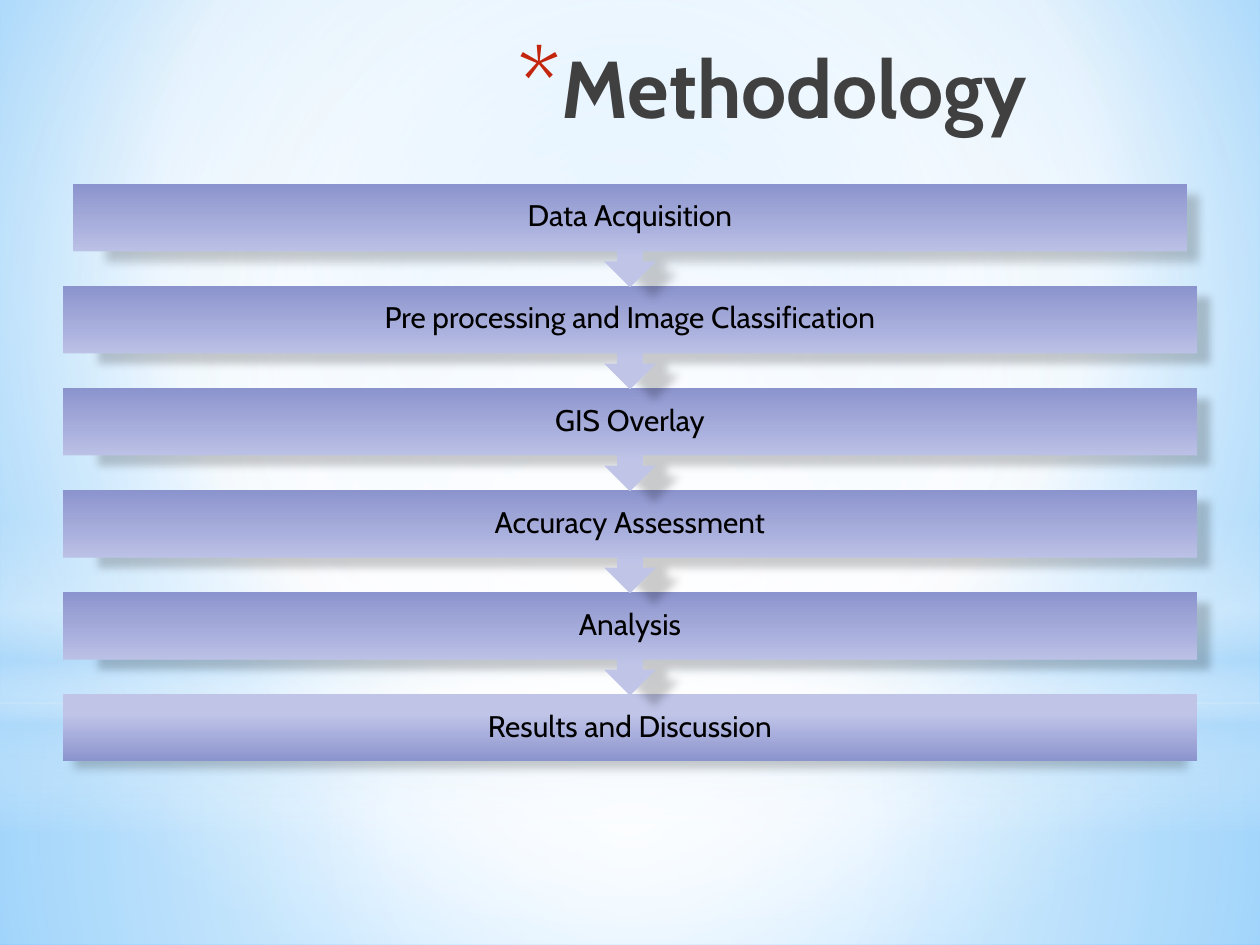
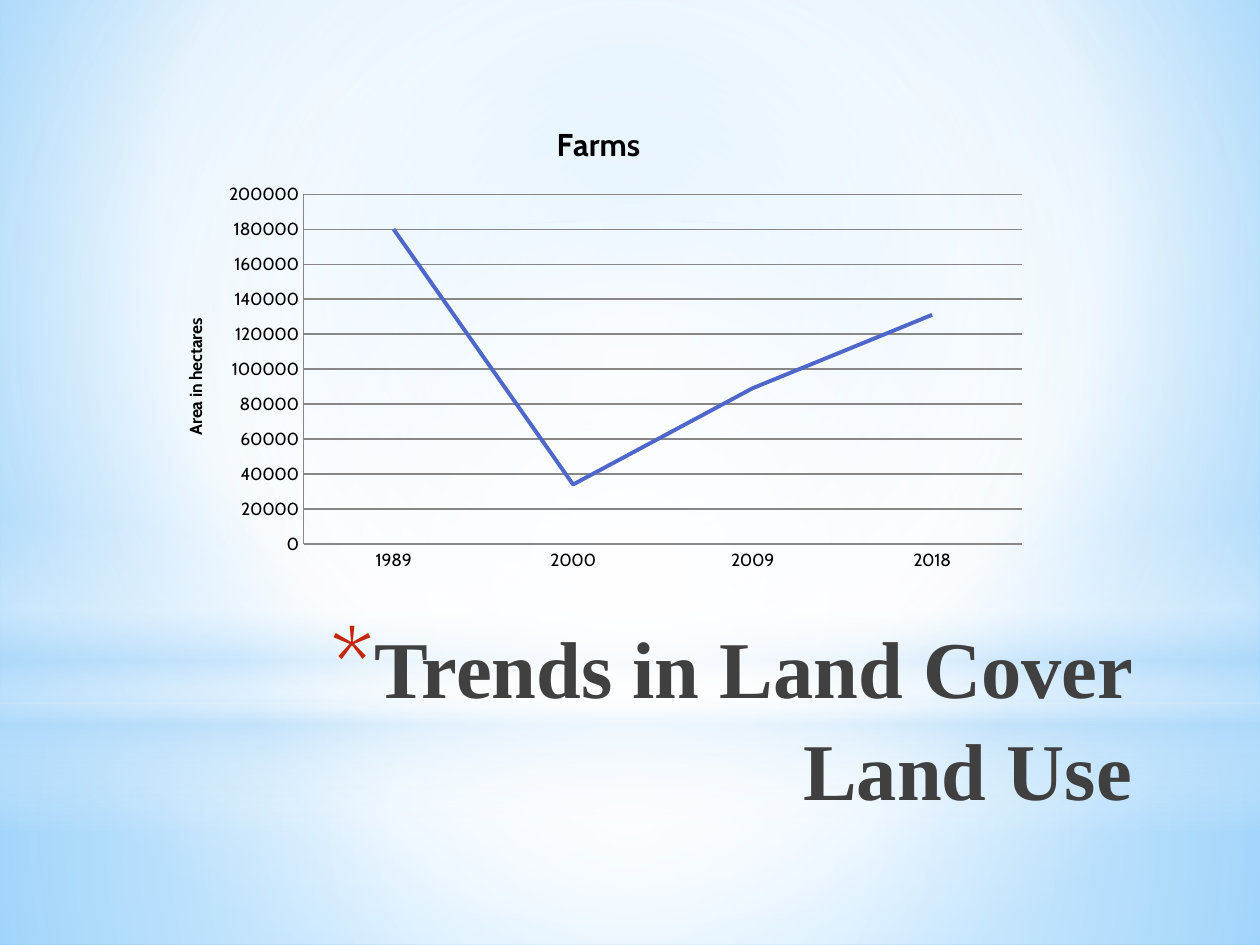
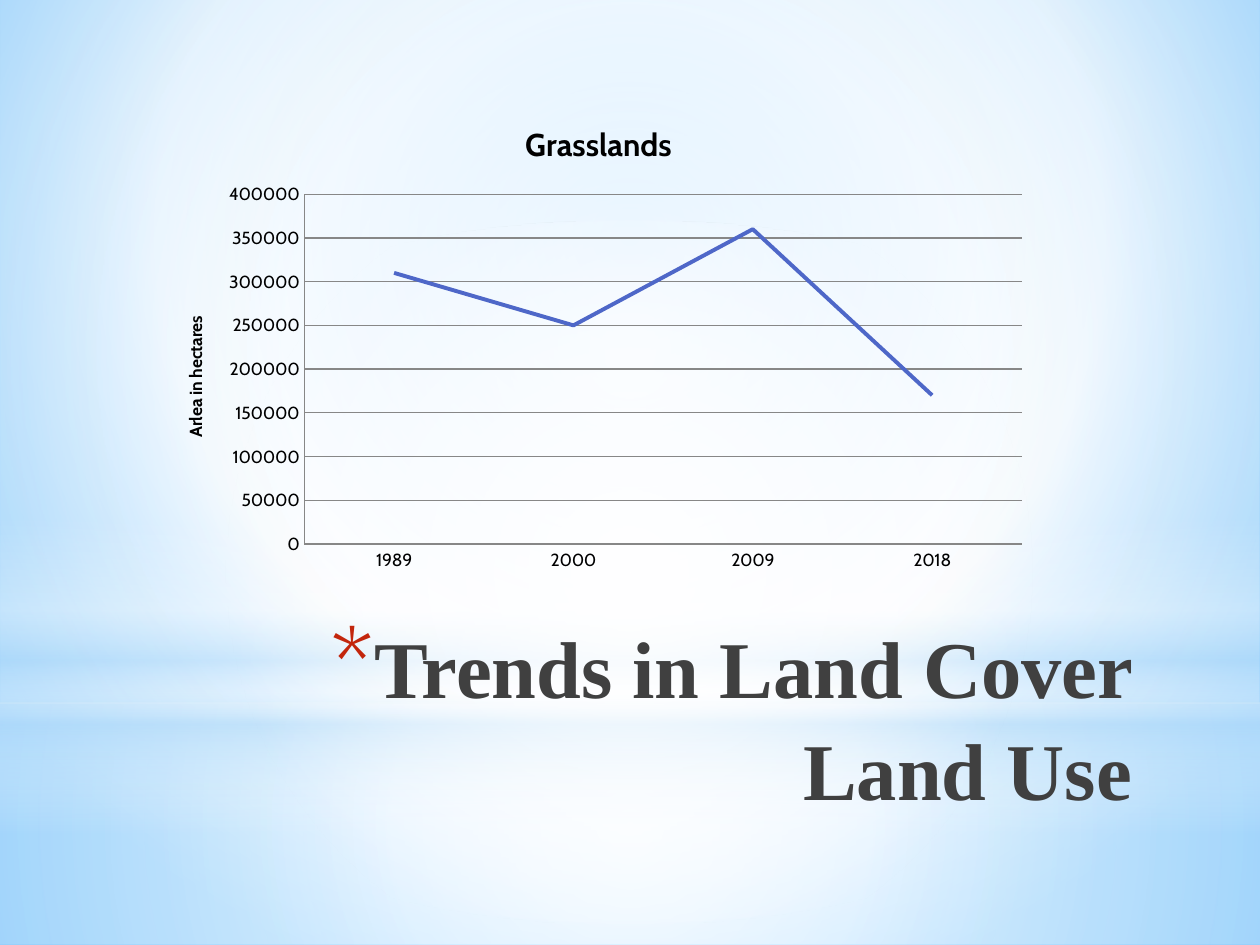
import pptx
import pptx.util
import pptx.chart.data
import pptx.dml.color
import pptx.enum.chart
import pptx.enum.shapes
import pptx.enum.text
import pptx.oxml
import pptx.oxml.ns
from pptx.util import Inches, Pt

RGBColor = pptx.dml.color.RGBColor
Shapes = pptx.enum.shapes.MSO_SHAPE
Align = pptx.enum.text.PP_ALIGN
Anchor = pptx.enum.text.MSO_ANCHOR

WHITE = RGBColor(0xFF, 0xFF, 0xFF)
BLACK = RGBColor(0x00, 0x00, 0x00)
SKY = RGBColor(0x9E, 0xD5, 0xFF)
DEEP_SKY = RGBColor(0x5B, 0xB9, 0xFF)
MIST = RGBColor(0xB4, 0xDC, 0xFA)
TITLE_GREY = RGBColor(0x40, 0x40, 0x40)
STAR_RED = RGBColor(0xC3, 0x26, 0x0C)
LAVENDER = RGBColor(0xC0, 0xC5, 0xE8)
VIOLET = RGBColor(0x8C, 0x94, 0xCE)
LINE_BLUE = RGBColor(0x4E, 0x67, 0xC8)
GRID_GREY = RGBColor(0x87, 0x87, 0x87)

BODY_FONT = "Cabin"
TREND_FONT = "Times New Roman"
CENTER = (50, 50, 50, 50)
YEARS = ("1989", "2000", "2009", "2018")
STEPS = (
    "Data Acquisition",
    "Pre processing and Image Classification",
    "GIS Overlay",
    "Accuracy Assessment",
    "Analysis",
    "Results and Discussion",
)
STEP_PITCH = 0.81
BAR_HEIGHT = 0.53
CALLOUT_HEIGHT = 0.82


def xml(text):
    return pptx.oxml.parse_xml(f"<a:root {pptx.oxml.ns.nsdecls('a')}>{text}</a:root>")[0]


def set_gradient(fill, holder, stops, focus=None):
    fill.solid()
    colours = "".join(
        f'<a:gs pos="{place * 1000}"><a:srgbClr val="{colour}">'
        f'<a:alpha val="{alpha * 1000}"/></a:srgbClr></a:gs>'
        for place, colour, alpha in stops
    )
    if focus:
        sides = " ".join(f'{side}="{value * 1000}"' for side, value in zip("ltrb", focus))
        course = f'<a:path path="circle"><a:fillToRect {sides}/></a:path>'
    else:
        course = '<a:lin ang="5400000" scaled="0"/>'
    gradient = xml(f'<a:gradFill rotWithShape="1"><a:gsLst>{colours}</a:gsLst>{course}</a:gradFill>')
    holder.replace(holder.find(pptx.oxml.ns.qn("a:solidFill")), gradient)


def add_gradient_shape(slide, kind, box, stops, focus=None):
    shape = slide.shapes.add_shape(kind, *map(Inches, box))
    shape.shadow.inherit = False
    shape.line.fill.background()
    set_gradient(shape.fill, shape.element.spPr, stops, focus)
    return shape


def add_backdrop(slide):
    fill = slide.background.fill
    fill.solid()
    set_gradient(fill, slide.element.xpath(".//p:bgPr")[0],
                 ((0, SKY, 100), (60, WHITE, 100), (100, DEEP_SKY, 100)), (20, 10, 20, 60))
    layers = (
        (Shapes.RECTANGLE, (0, 5.58, 10, 1.92),
         ((0, WHITE, 91), (37, WHITE, 76), (100, MIST, 79)), CENTER),
        (Shapes.RECTANGLE, (0, 0, 10, 5.58),
         ((0, WHITE, 89), (48, WHITE, 62), (100, MIST, 79)), CENTER),
        (Shapes.RECTANGLE, (0, 4.12, 10, 2.5),
         ((0, WHITE, 0), (29, WHITE, 30), (45, MIST, 40),
          (55, WHITE, 26), (65, MIST, 60), (100, WHITE, 0)), None),
        (Shapes.OVAL, (0, 1.75, 10, 5.58), ((0, WHITE, 100), (56, WHITE, 0)), CENTER),
    )
    for layer in layers:
        add_gradient_shape(slide, *layer)


def add_text(slide, box, text, font, size, colour, align):
    frame = slide.shapes.add_textbox(*map(Inches, box)).text_frame
    frame.word_wrap = True
    para = frame.paragraphs[0]
    para.alignment = align
    span = para.add_run()
    span.text = text
    span.font.name = font
    span.font.size = Pt(size)
    span.font.color.rgb = colour
    return frame, para, span


def add_title(slide, box, text, font, spacing):
    frame, para, span = add_text(slide, box, text, font, 46, TITLE_GREY, Align.RIGHT)
    span.font.bold = True
    para.line_spacing = spacing
    properties = para._p.get_or_add_pPr()
    properties.set("marL", str(Inches(0.35)))
    properties.set("indent", str(Inches(-0.35)))
    for mark in (
        f'<a:buClr><a:srgbClr val="{STAR_RED}"/></a:buClr>',
        '<a:buSzPct val="128000"/>',
        f'<a:buFont typeface="{BODY_FONT}"/>',
        '<a:buChar char="*"/>',
    ):
        properties.append(xml(mark))


def add_step(slide, box, text, is_last):
    left, top, width, height = box
    kind = Shapes.RECTANGLE if is_last else Shapes.UP_ARROW_CALLOUT
    shape = add_gradient_shape(slide, kind, box, ((28, LAVENDER, 100), (100, VIOLET, 100)))
    shape.rotation = 0 if is_last else 180
    effects = shape.element.spPr.find(pptx.oxml.ns.qn("a:effectLst"))
    effects.append(xml(
        f'<a:outerShdw blurRad="{Pt(5)}" dist="{Pt(4)}" dir="5400000" sx="98000" sy="98000" '
        f'rotWithShape="0"><a:srgbClr val="{BLACK}"><a:alpha val="20000"/></a:srgbClr></a:outerShdw>'
    ))
    frame, para, span = add_text(slide, (left, top, width, BAR_HEIGHT), text,
                                 BODY_FONT, 17, BLACK, Align.CENTER)
    frame.vertical_anchor = Anchor.MIDDLE
    frame.margin_left = frame.margin_right = Inches(0.13)
    frame.margin_top = frame.margin_bottom = Inches(0.13)
    para.line_spacing = 0.9


def add_flow(slide, box):
    left, top, width = box
    last = len(STEPS) - 1
    for index in range(last, -1, -1):
        inset = 0.08 if index == 0 else 0
        height = BAR_HEIGHT if index == last else CALLOUT_HEIGHT
        step_box = (left + inset, top + index * STEP_PITCH, width - 2 * inset, height)
        add_step(slide, step_box, STEPS[index], index == last)


def set_chart_title(owner, text, size):
    para = owner.text_frame.paragraphs[0]
    span = para.add_run()
    span.text = text
    span.font.name = BODY_FONT
    span.font.size = Pt(size)
    span.font.bold = True
    span.font.color.rgb = BLACK


def set_grey_line(line):
    line.color.rgb = GRID_GREY
    line.width = Pt(0.75)


def add_trend_chart(slide, box, title, axis_title, values, top_value, step):
    data = pptx.chart.data.CategoryChartData()
    data.categories = YEARS
    data.add_series("Series 1", values)
    chart = slide.shapes.add_chart(
        pptx.enum.chart.XL_CHART_TYPE.LINE, *map(Inches, box), data).chart
    chart.has_legend = False
    chart.font.name = BODY_FONT
    chart.font.size = Pt(10)
    chart.font.color.rgb = BLACK
    set_chart_title(chart.chart_title, title, 18)
    chart.plots[0].vary_by_categories = False
    series = chart.plots[0].series[0]
    series.smooth = False
    series.marker.style = pptx.enum.chart.XL_MARKER_STYLE.NONE
    series.format.line.color.rgb = LINE_BLUE
    series.format.line.width = Pt(2.25)
    for axis in (chart.category_axis, chart.value_axis):
        axis.major_tick_mark = pptx.enum.chart.XL_TICK_MARK.NONE
        set_grey_line(axis.format.line)
    scale = chart.value_axis
    scale.minimum_scale = 0
    scale.maximum_scale = top_value
    scale.major_unit = step
    set_grey_line(scale.major_gridlines.format.line)
    set_chart_title(scale.axis_title, axis_title, 10)


def add_page(deck):
    slide = deck.slides.add_slide(deck.slide_layouts[6])
    add_backdrop(slide)
    return slide


def build_methodology(deck):
    slide = add_page(deck)
    add_title(slide, (1.42, 0.25, 6.83, 0.83), "Methodology", BODY_FONT, 1.0)
    add_flow(slide, (0.5, 1.46, 9))


def build_trend(deck, *chart_details):
    slide = add_page(deck)
    add_title(slide, (1.96, 4.82, 7.12, 1.25), "Trends in Land Cover Land Use", TREND_FONT, 1.05)
    add_trend_chart(slide, (1.25, 0.8, 7, 3.8), *chart_details)


def main():
    deck = pptx.Presentation()
    deck.slide_width = Inches(10)
    deck.slide_height = Inches(7.5)
    build_methodology(deck)
    build_trend(deck, "Farms", "Area in hectares",
                (180000, 34000, 89000, 131000), 200000, 20000)
    build_trend(deck, "Grasslands", "Arlea in hectares",
                (310000, 250000, 360000, 170000), 400000, 50000)
    deck.save("out.pptx")


if __name__ == "__main__":
    main()
